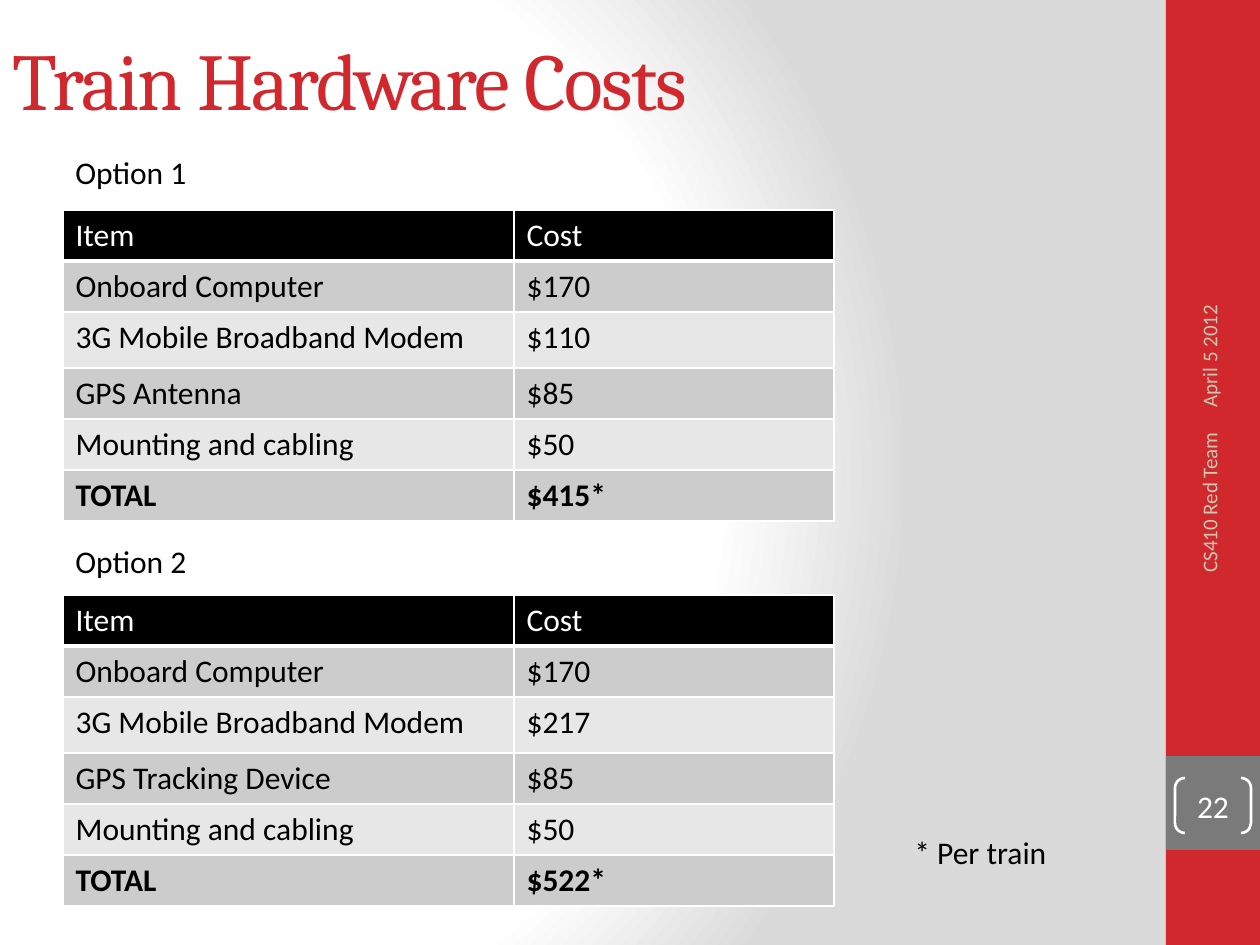
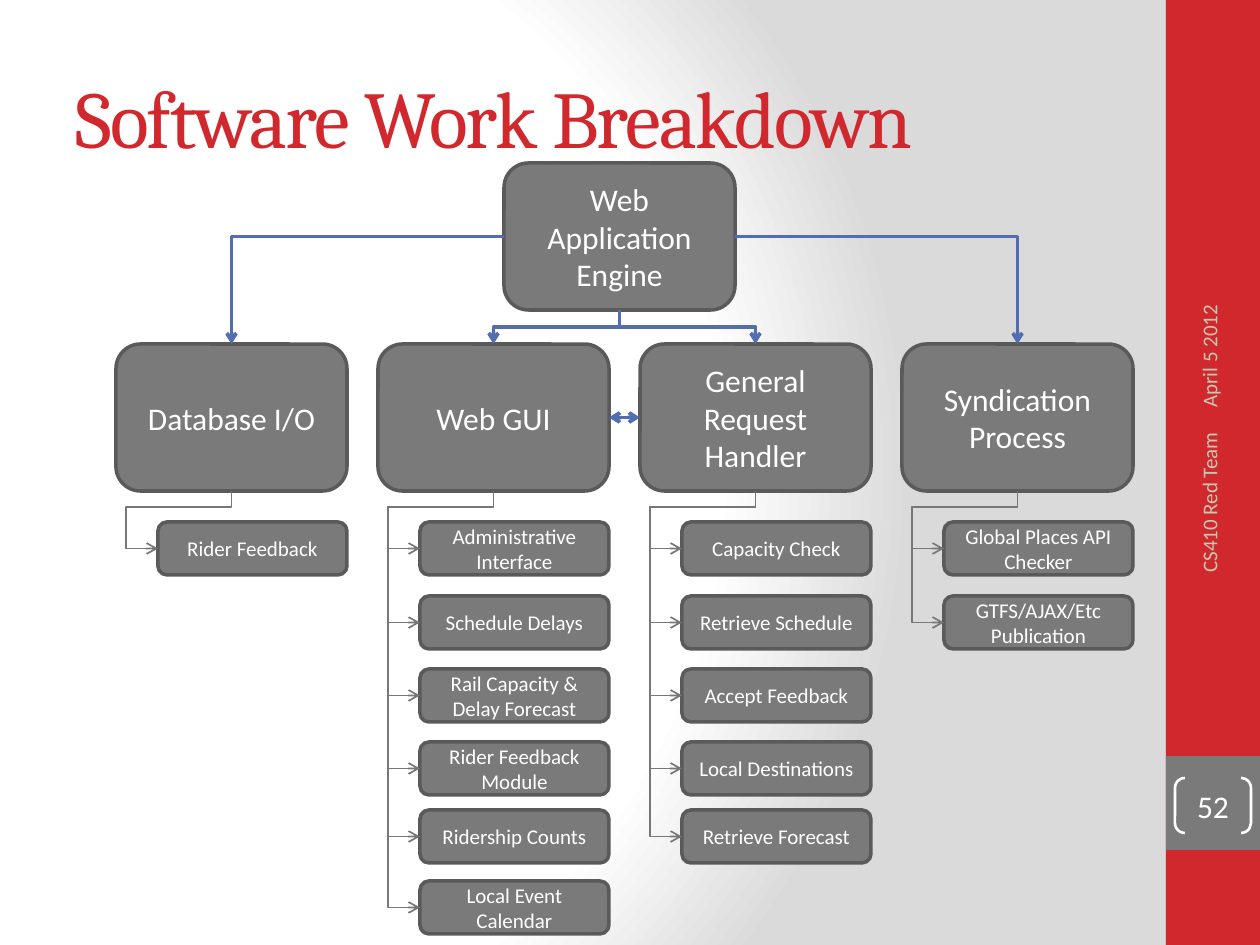
from dataclasses import dataclass
from typing import Any, NamedTuple, Optional

import pptx
import pptx.dml.color
import pptx.enum.shapes
import pptx.enum.text
import pptx.oxml
import pptx.oxml.ns
import pptx.util

EMU_PER_PX = 914400 / 126
COLORS = {
    "red": "D1282E", "grey": "7A7A7A", "outline": "5A5A5A", "branch": "777777",
    "flow": "526DB0", "footer": "C8C8B1", "white": "FFFFFF", "black": "000000",
    "band_dark": "CCCCCC", "band_light": "E7E7E7", "backdrop": "DADADA",
}
BODY_FONT, TITLE_FONT = "Calibri", "Cambria"
SHAPES = pptx.enum.shapes.MSO_SHAPE
LINKS = pptx.enum.shapes.MSO_CONNECTOR
ALIGN = pptx.enum.text.PP_ALIGN
ANCHOR = pptx.enum.text.MSO_ANCHOR
TOP, LEFT, BOTTOM, RIGHT = range(4)
DROP = 16  # from a box down to the first bend


class Box(NamedTuple):
    left: int
    top: int
    width: int
    height: int


@dataclass
class CostOption:
    label: str
    label_top: int
    table_top: int
    rows: list[tuple[str, str]]


@dataclass
class Module:
    name: str
    features: list[str]


@dataclass
class Bend:
    preset: str
    rotation: int = 0
    flip: Optional[str] = None
    adjustments: tuple[float, ...] = ()


OPTIONS = [
    CostOption("Option 1", 147, 210, [
        ("Item", "Cost"), ("Onboard Computer", "$170"),
        ("3G Mobile Broadband Modem", "$110"), ("GPS Antenna", "$85"),
        ("Mounting and cabling", "$50"), ("TOTAL", "$415*")]),
    CostOption("Option 2", 536, 595, [
        ("Item", "Cost"), ("Onboard Computer", "$170"),
        ("3G Mobile Broadband Modem", "$217"), ("GPS Tracking Device", "$85"),
        ("Mounting and cabling", "$50"), ("TOTAL", "$522*")]),
]
COLUMN_WIDTHS = (451, 320)
ROW_HEIGHTS = (51, 51, 56, 51, 51, 51)

MODULES = [
    Module("Database I/O", ["Rider Feedback"]),
    Module("Web GUI", [
        "Administrative Interface", "Schedule Delays",
        "Rail Capacity & Delay Forecast", "Rider Feedback Module",
        "Ridership Counts", "Local Event Calendar"]),
    Module("General Request Handler", [
        "Capacity Check", "Retrieve Schedule", "Accept Feedback",
        "Local Destinations", "Retrieve Forecast"]),
    Module("Syndication Process", [
        "Global Places API Checker", "GTFS/AJAX/Etc Publication"]),
]
FEATURE_TOPS = (522, 596, 669, 742, 810, 881)


def px(length: float) -> int:
    return round(length * EMU_PER_PX)


def emu(box: Box) -> list[int]:
    return [px(length) for length in box]


def rgb(name: str) -> pptx.dml.color.RGBColor:
    return pptx.dml.color.RGBColor.from_string(COLORS[name])


def add_xml(parent: Any, tag: str, **attributes: str) -> Any:
    child = pptx.oxml.parse_xml(f"<a:{tag} {pptx.oxml.ns.nsdecls('a')}/>")
    for key, value in attributes.items():
        child.set(key, value)
    parent.append(child)
    return child


def write(frame: Any, text: str, *, size: int = 18, color: str = "black",
          font: str = BODY_FONT, bold: bool = False, align: Any = ALIGN.LEFT,
          anchor: Any = ANCHOR.TOP, spacing: int = 0) -> None:
    """Fill a text frame, one paragraph per line of text."""
    frame.word_wrap = True
    frame.vertical_anchor = anchor
    for index, line in enumerate(text.split("\n")):
        paragraph = frame.add_paragraph() if index else frame.paragraphs[0]
        paragraph.alignment = align
        run = paragraph.add_run()
        run.text = line
        run.font.size = pptx.util.Pt(size)
        run.font.name = font
        run.font.bold = bold
        run.font.color.rgb = rgb(color)
        if spacing:
            run.font._element.set("spc", str(spacing))


def add_text(slide: Any, box: Box, text: str, rotation: int = 0, **style: Any) -> None:
    label = slide.shapes.add_textbox(*emu(box))
    label.rotation = rotation
    write(label.text_frame, text, **style)


def add_shape(slide: Any, kind: Any, box: Box, fill: Optional[str] = None,
              line: Optional[str] = None, weight: float = 2) -> Any:
    shape = slide.shapes.add_shape(kind, *emu(box))
    shape.shadow.inherit = False
    if fill:
        shape.fill.solid()
        shape.fill.fore_color.rgb = rgb(fill)
    else:
        shape.fill.background()
    if line:
        shape.line.color.rgb = rgb(line)
        shape.line.width = pptx.util.Pt(weight)
    else:
        shape.line.fill.background()
    return shape


def add_node(slide: Any, box: Box, text: str, size: int) -> Any:
    node = add_shape(slide, SHAPES.ROUNDED_RECTANGLE, box, "grey", "outline")
    write(node.text_frame, text, size=size, color="white",
          align=ALIGN.CENTER, anchor=ANCHOR.MIDDLE)
    return node


def side_middle(node: Any, side: int) -> tuple[int, int]:
    across = {LEFT: 0, RIGHT: node.width}.get(side, node.width // 2)
    down = {TOP: 0, BOTTOM: node.height}.get(side, node.height // 2)
    return node.left + across, node.top + down


def add_link(slide: Any, source: Any, source_side: int, target: Any, target_side: int,
             color: str, weight: float, bend: Optional[Bend] = None,
             both_ways: bool = False) -> None:
    """Join two nodes with an arrow, straight unless a bend is given."""
    start, end = side_middle(source, source_side), side_middle(target, target_side)
    link = slide.shapes.add_connector(
        LINKS.ELBOW if bend else LINKS.STRAIGHT, *start, *end)
    link.begin_connect(source, source_side)
    link.end_connect(target, target_side)
    link.line.color.rgb = rgb(color)
    link.line.width = pptx.util.Pt(weight)
    outline = link.line._get_or_add_ln()
    if both_ways:
        add_xml(outline, "headEnd", type="arrow")
    add_xml(outline, "tailEnd", type="arrow")
    properties = link.element.spPr
    add_xml(properties, "effectLst")
    if bend:
        shape_bend(link, properties, start, end, bend)


def shape_bend(link: Any, properties: Any, start: tuple[int, int],
               end: tuple[int, int], bend: Bend) -> None:
    width, height = abs(end[0] - start[0]), abs(end[1] - start[1])
    if bend.rotation in (90, 270):
        width, height = height, width
    link.left = (start[0] + end[0] - width) // 2
    link.top = (start[1] + end[1] - height) // 2
    link.width, link.height = width, height
    transform = properties.find(pptx.oxml.ns.qn("a:xfrm"))
    for flip in ("flipH", "flipV"):
        transform.attrib.pop(flip, None)
    if bend.rotation:
        transform.set("rot", str(bend.rotation * 60000))
    if bend.flip:
        transform.set(bend.flip, "1")
    geometry = properties.find(pptx.oxml.ns.qn("a:prstGeom"))
    geometry.set("prst", bend.preset)
    guides = geometry.find(pptx.oxml.ns.qn("a:avLst"))
    for number, value in enumerate(bend.adjustments, start=1):
        add_xml(guides, "gd", name=f"adj{number}", fmla=f"val {round(value * 100000)}")


def set_backdrop(slide: Any) -> None:
    stops = ((0, "white"), (75, "white"), (100, "backdrop"))
    stop_xml = "".join(
        f'<a:gs pos="{place * 1000}"><a:srgbClr val="{COLORS[color]}"/></a:gs>'
        for place, color in stops)
    slide.element.cSld.insert(0, pptx.oxml.parse_xml(
        f'<p:bg {pptx.oxml.ns.nsdecls("p", "a")}><p:bgPr><a:gradFill rotWithShape="1">'
        f'<a:gsLst>{stop_xml}</a:gsLst><a:path path="circle">'
        '<a:fillToRect l="20000" t="50000" r="100000" b="50000"/></a:path>'
        '</a:gradFill><a:effectLst/></p:bgPr></p:bg>'))


def add_base_slide(deck: Any, title: str, title_box: Box, number: int) -> Any:
    """Start a slide with the backdrop, side band, footers and title."""
    slide = deck.slides.add_slide(deck.slide_layouts[6])
    set_backdrop(slide)
    add_shape(slide, SHAPES.RECTANGLE, Box(1166, 0, 94, 945), "red")
    add_shape(slide, SHAPES.RECTANGLE, Box(1166, 756, 94, 94), "grey")
    footer = dict(rotation=270, size=12, color="footer", anchor=ANCHOR.MIDDLE)
    add_text(slide, Box(1041, 227, 336, 50), "April 5 2012", **footer)
    add_text(slide, Box(1046, 558, 326, 50), "CS410 Red Team",
             align=ALIGN.RIGHT, **footer)
    page = add_shape(slide, SHAPES.DOUBLE_BRACKET, Box(1175, 778, 76, 55),
                     line="white", weight=1.5)
    page.adjustments[0] = 0.18
    frame = page.text_frame
    frame.margin_left = frame.margin_right = frame.margin_top = frame.margin_bottom = 0
    write(frame, str(number), color="white", align=ALIGN.CENTER, anchor=ANCHOR.MIDDLE)
    add_text(slide, title_box, title, size=46, color="red", font=TITLE_FONT,
             anchor=ANCHOR.MIDDLE, spacing=-100)
    return slide


def set_cell_borders(cell: Any, bottom_weight: int) -> None:
    properties = cell._tc.get_or_add_tcPr()
    weights = {"lnL": 1, "lnR": 1, "lnT": 1, "lnB": bottom_weight}
    for place, (tag, weight) in enumerate(weights.items()):
        border = add_xml(properties, tag, w=str(pptx.util.Pt(weight)))
        add_xml(add_xml(border, "solidFill"), "srgbClr", val=COLORS["white"])
        properties.insert(place, border)  # borders come before the fill


def add_cost_table(slide: Any, option: CostOption) -> None:
    add_text(slide, Box(63, option.label_top, 294, 50), option.label)
    area = Box(63, option.table_top, sum(COLUMN_WIDTHS), sum(ROW_HEIGHTS))
    table = slide.shapes.add_table(
        len(option.rows), len(COLUMN_WIDTHS), *emu(area)).table
    for column, width in zip(table.columns, COLUMN_WIDTHS):
        column.width = px(width)
    for index, (values, height) in enumerate(zip(option.rows, ROW_HEIGHTS)):
        table.rows[index].height = px(height)
        header = index == 0
        fill = "black" if header else "band_dark" if index % 2 else "band_light"
        for column, value in enumerate(values):
            cell = table.cell(index, column)
            cell.fill.solid()
            cell.fill.fore_color.rgb = rgb(fill)
            set_cell_borders(cell, 3 if header else 1)
            write(cell.text_frame, value, color="white" if header else "black",
                  bold=values[0] == "TOTAL")


def build_costs(deck: Any) -> None:
    slide = add_base_slide(deck, "Train Hardware Costs", Box(0, 0, 1050, 157), 22)
    for option in OPTIONS:
        add_cost_table(slide, option)
    add_text(slide, Box(902, 827, 199, 53), "* Per train")


def add_module(slide: Any, module: Module, left: int) -> Any:
    """Draw a module with its features hanging from a spine on the left."""
    head = add_node(slide, Box(left, 344, 231, 147), module.name, 18)
    for name, top in zip(module.features, FEATURE_TOPS):
        feature = add_node(slide, Box(left + 42, top, 189, 53), name, 12)
        start, end = side_middle(head, BOTTOM), side_middle(feature, LEFT)
        hang = Bend("bentConnector4", 90, None, (
            px(DROP) / (end[1] - start[1]), 1 + px(32) / (start[0] - end[0])))
        add_link(slide, head, BOTTOM, feature, LEFT, "branch", 1, hang)
    return head


def build_breakdown(deck: Any) -> None:
    slide = add_base_slide(deck, "Software Work Breakdown", Box(63, 38, 1050, 157), 52)
    engine = add_node(slide, Box(504, 163, 231, 147), "Web Application\nEngine", 18)
    database, gui, handler, syndication = [
        add_module(slide, module, 116 + 262 * column)
        for column, module in enumerate(MODULES)]

    # Flow from the engine to the modules
    flows = [
        (LEFT, database, Bend("bentConnector2", 180, "flipV")),
        (RIGHT, syndication, Bend("bentConnector2")),
        (BOTTOM, gui, Bend("bentConnector3", 90, None, (0.5,))),
        (BOTTOM, handler, Bend("bentConnector3", 270, "flipH", (0.5,))),
    ]
    for side, module, bend in flows:
        add_link(slide, engine, side, module, TOP, "flow", 2, bend)
    add_link(slide, gui, RIGHT, handler, LEFT, "flow", 2, both_ways=True)


def main() -> None:
    deck = pptx.Presentation()
    deck.slide_width, deck.slide_height = px(1260), px(945)
    build_costs(deck)
    build_breakdown(deck)
    deck.save("out.pptx")


if __name__ == "__main__":
    main()
